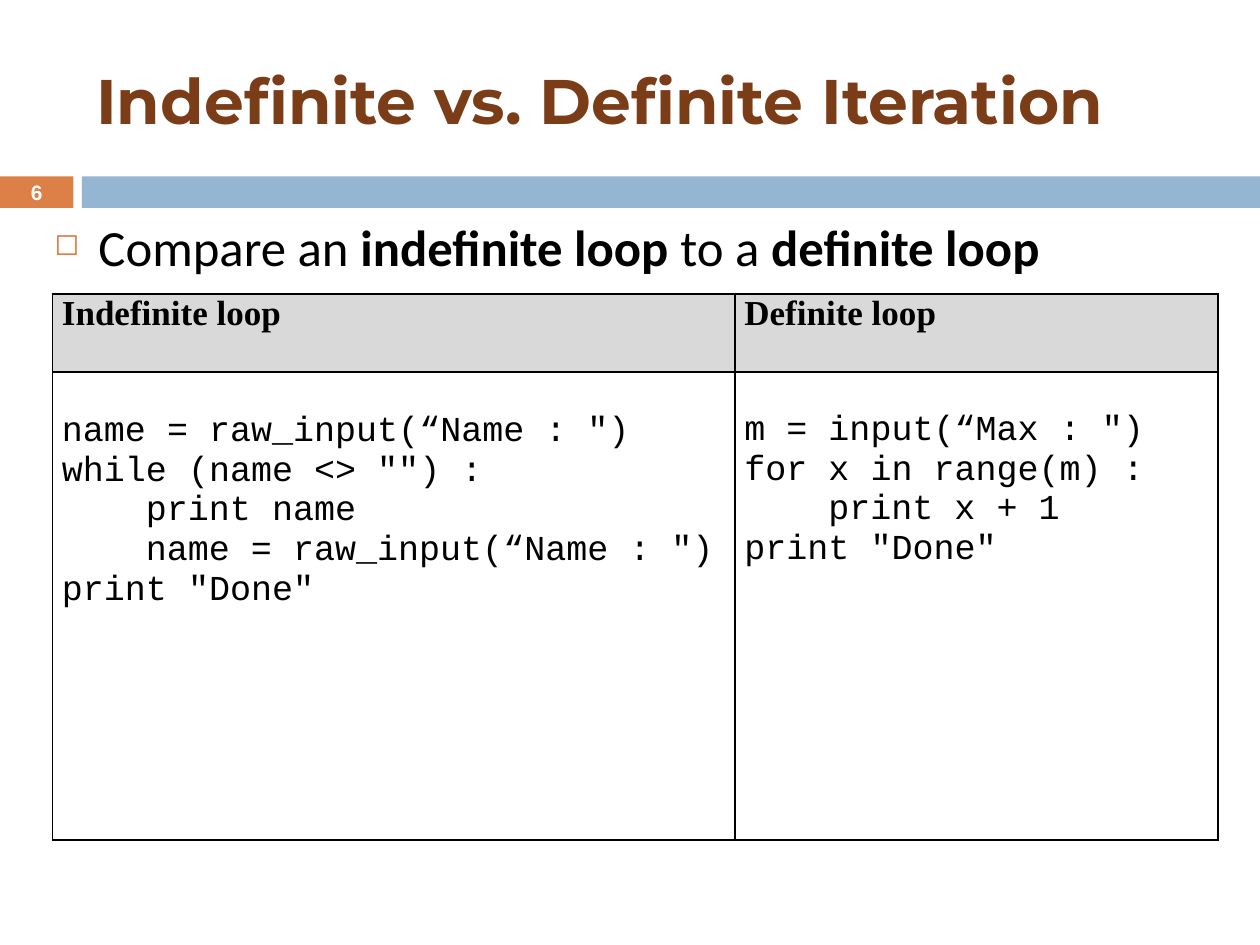
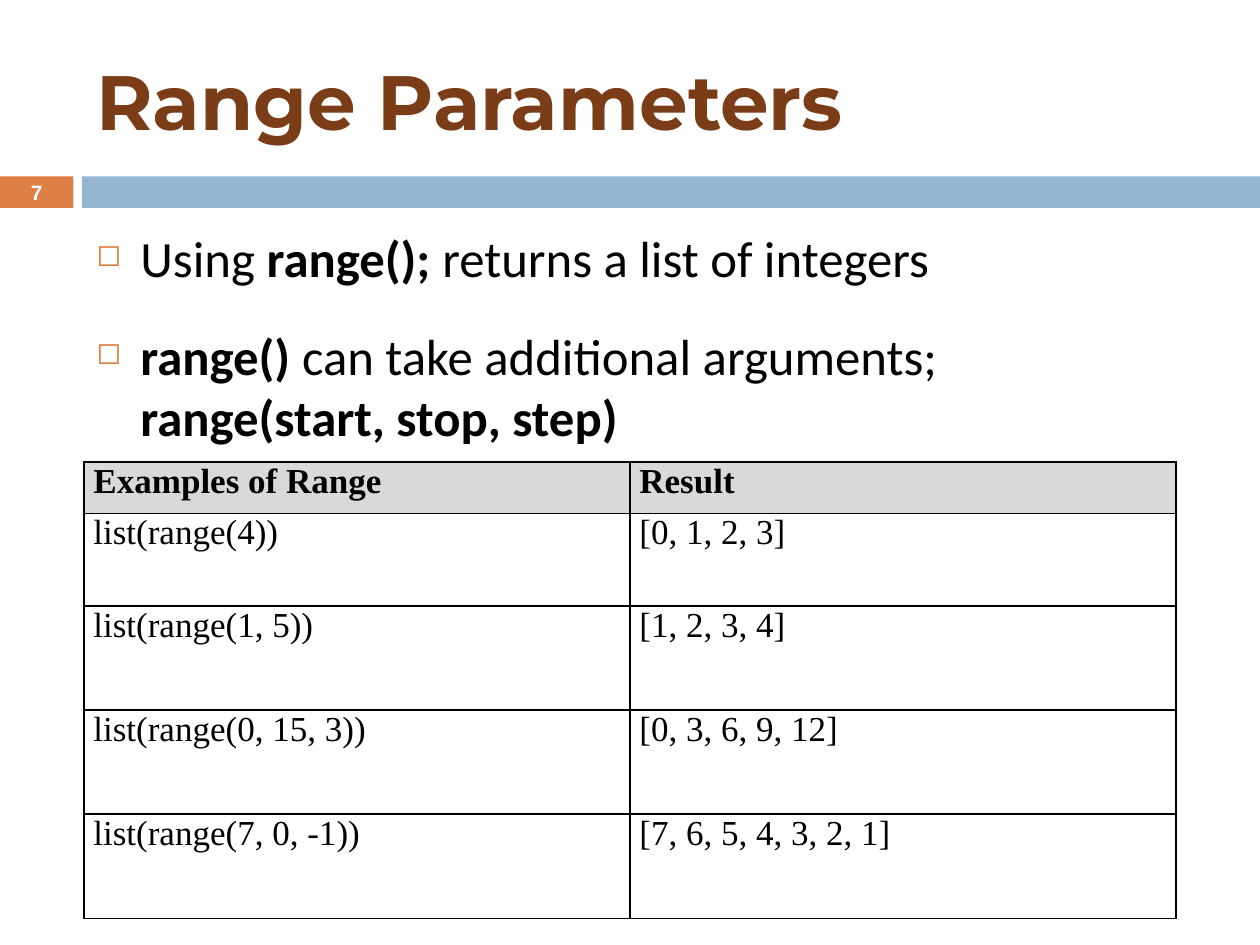
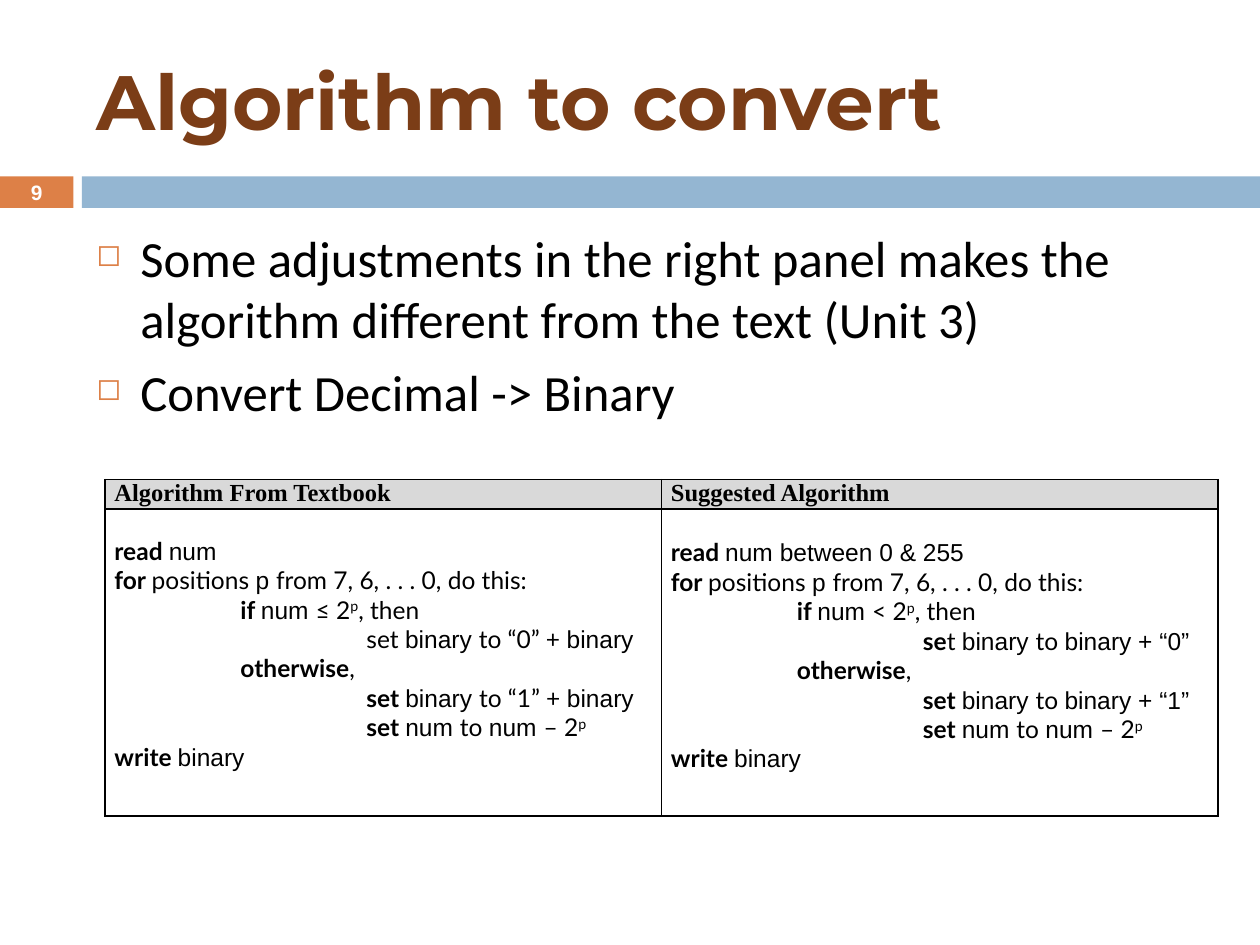
import pptx
import pptx.dml.color
import pptx.enum.shapes
import pptx.enum.text
import pptx.oxml
import pptx.oxml.ns
import pptx.util

Pt = pptx.util.Pt

COLORS = {
    "title": "7B3D17", "accent": "DD8047", "band": "94B6D2",
    "text": "000000", "header": "D9D9D9", "white": "FFFFFF",
}

# style: font, bold, superscript
STYLES = {
    "title": ("Montserrat", True, False),
    "number": ("Arial", True, False),
    "body": ("Calibri", False, False),
    "strong": ("Calibri", True, False),
    "header": ("Times New Roman", True, False),
    "cell": ("Times New Roman", False, False),
    "code": ("Courier New", False, False),
    "keyword": ("Lato", True, False),
    "word": ("Lato", False, False),
    "power": ("Lato", False, True),
    "name": ("Arial", False, False),
}

BAND_TOP, BAND_HEIGHT = 100.8, 18
CELL_MARGIN = 5.4
BULLET_INDENT = 25.2

# Lines of a cell: (indent level, runs); a run is (text, style)
FOR_LINE = (0, [("for ", "keyword"), ("positions ", "word"), ("p ", "name"),
                ("from 7, 6, . . . 0, do this:", "word")])
OTHERWISE_LINE = (1, [("otherwise", "keyword"), (",", "word")])
SUBTRACT_LINE = (2, [("set ", "keyword"), ("num ", "name"), ("to ", "word"),
                     ("num ", "name"), ("– 2", "word"), ("p", "power")])
WRITE_LINE = (0, [("write ", "keyword"), ("binary", "name")])


def if_line(comparison):
    return (1, [("if ", "keyword"), ("num ", "name"), (comparison + " 2", "word"),
                ("p", "power"), (", then", "word")])


def plain(text, style, level=0):
    return (level, [(text, style)])


TEXTBOOK_ALGORITHM = [
    (0, [("read ", "keyword"), ("num", "name")]),
    FOR_LINE,
    if_line("≤"),
    (2, [("set ", "word"), ("binary ", "name"), ("to “0” + ", "word"), ("binary", "name")]),
    OTHERWISE_LINE,
    (2, [("set ", "keyword"), ("binary ", "name"), ("to “1” + ", "word"), ("binary", "name")]),
    SUBTRACT_LINE,
    WRITE_LINE,
]
SUGGESTED_ALGORITHM = [
    (0, [("read ", "keyword"), ("num between 0 & 255", "name")]),
    FOR_LINE,
    if_line("<"),
    (2, [("se", "keyword"), ("t ", "word"), ("binary ", "name"), ("to ", "word"),
         ("binary + “0”", "name")]),
    OTHERWISE_LINE,
    (2, [("set ", "keyword"), ("binary ", "name"), ("to ", "word"), ("binary + “1”", "name")]),
    SUBTRACT_LINE,
    WRITE_LINE,
]
INDEFINITE_LOOP = [
    plain("name = raw_input(“Name : \")", "code"),
    plain("while (name <> \"\") :", "code"),
    plain("print name", "code", 1),
    plain("name = raw_input(“Name : \")", "code", 1),
    plain("print \"Done\"", "code"),
]
DEFINITE_LOOP = [
    plain("m = input(“Max : \")", "code"),
    plain("for x in range(m) :", "code"),
    plain("print x + 1", "code", 1),
    plain("print \"Done\"", "code"),
]
RANGE_EXAMPLES = [
    ("list(range(4))", "[0, 1, 2, 3]"),
    ("list(range(1, 5))", "[1, 2, 3, 4]"),
    ("list(range(0, 15, 3))", "[0, 3, 6, 9, 12]"),
    ("list(range(7, 0, -1))", "[7, 6, 5, 4, 3, 2, 1]"),
]

SLIDES = [
    {
        "number": "6", "title": "Indefinite vs. Definite Iteration", "title_size": 36,
        "body_box": (24, 120, 670, 83.5), "bullet_gap": 0,
        "bullets": [[("Compare an ", "body"), ("indefinite loop ", "strong"),
                     ("to a ", "body"), ("definite loop", "strong")]],
        "table": {
            "at": (30, 168), "columns": (390, 276), "rows": (44.6, 267.4),
            "size": 20, "indent": 48, "top_margins": (23, 22.5),
            "header": ("Indefinite loop", "Definite loop"),
            "body": [(INDEFINITE_LOOP, DEFINITE_LOOP)],
        },
    },
    {
        "number": "7", "title": "Range Parameters", "title_size": 44,
        "body_box": (48, 126, 642, 132), "bullet_gap": 14,
        "bullets": [
            [("Using ", "body"), ("range(); ", "strong"), ("returns a list of integers", "body")],
            [("range() ", "strong"), ("can take additional arguments; \n", "body"),
             ("range(start, stop, step)", "strong")],
        ],
        "table": {
            "at": (48, 264), "columns": (312, 312), "rows": (29.5, 52.8, 59.5, 59.5, 59.5),
            "size": 20, "indent": 0, "top_margins": (0, 0),
            "header": ("Examples of Range", "Result"),
            "body": [[[plain(text, "cell")] for text in row] for row in RANGE_EXAMPLES],
        },
    },
    {
        "number": "9", "title": "Algorithm to convert", "title_size": 44,
        "body_box": (48, 126, 642, 126), "bullet_gap": 0,
        "bullets": [
            [("Some adjustments in the right panel makes the algorithm "
              "different from the text (Unit 3)", "body")],
            [("Convert Decimal -> Binary", "body")],
        ],
        "table": {
            "at": (60, 274), "columns": (318, 318), "rows": (16.8, 175.5),
            "size": 14, "indent": 72, "top_margins": (15.5, 16.5),
            "header": ("Algorithm From Textbook", "Suggested Algorithm"),
            "body": [(TEXTBOOK_ALGORITHM, SUGGESTED_ALGORITHM)],
        },
    },
]


def rgb(name):
    return pptx.dml.color.RGBColor.from_string(COLORS[name])


def add_runs(paragraph, runs, size, color="text"):
    for text, style in runs:
        font_name, bold, superscript = STYLES[style]
        run = paragraph.add_run()
        run.text = text.rstrip("\n")
        run.font.name = font_name
        run.font.size = Pt(size)
        run.font.bold = bold
        run.font.color.rgb = rgb(color)
        if superscript:
            run._r.get_or_add_rPr().set("baseline", "30000")
        if text.endswith("\n"):
            paragraph.add_line_break()


def add_paragraph(frame, index):
    return frame.add_paragraph() if index else frame.paragraphs[0]


def add_text_frame(slide, box, middle=False):
    frame = slide.shapes.add_textbox(*map(Pt, box)).text_frame
    frame.word_wrap = True
    if middle:
        frame.vertical_anchor = pptx.enum.text.MSO_ANCHOR.MIDDLE
    return frame


def add_band(slide, left, width, color):
    shape = slide.shapes.add_shape(
        pptx.enum.shapes.MSO_SHAPE.RECTANGLE,
        Pt(left), Pt(BAND_TOP), Pt(width), Pt(BAND_HEIGHT))
    shape.shadow.inherit = False
    shape.fill.solid()
    shape.fill.fore_color.rgb = rgb(color)
    shape.line.fill.background()


def add_frame(slide, content):
    """Draw the bands, the title and the slide number."""
    add_band(slide, 0, 42, "accent")
    add_band(slide, 46.8, 673.2, "band")
    title = add_text_frame(slide, (48, 18, 642, 78), middle=True)
    add_runs(title.paragraphs[0], [(content["title"], "title")], content["title_size"], "title")
    number = add_text_frame(slide, (0, 100, 42, 19.5), middle=True)
    number.paragraphs[0].alignment = pptx.enum.text.PP_ALIGN.CENTER
    add_runs(number.paragraphs[0], [(content["number"], "number")], 11.9, "white")


def append_xml(parent, xml):
    namespace = pptx.oxml.ns.nsdecls("a")
    parent.append(pptx.oxml.parse_xml(xml.replace(">", f" {namespace}>", 1)
                                      if "/>" not in xml.split(">")[0] + ">"
                                      else xml.replace("/>", f" {namespace}/>", 1)))


def add_bullets(slide, content):
    frame = add_text_frame(slide, content["body_box"])
    last = len(content["bullets"]) - 1
    for index, runs in enumerate(content["bullets"]):
        paragraph = add_paragraph(frame, index)
        paragraph.space_before = Pt(7)
        if index < last:
            paragraph.space_after = Pt(content["bullet_gap"])
        properties = paragraph._p.get_or_add_pPr()
        properties.set("marL", str(Pt(BULLET_INDENT)))
        properties.set("indent", str(-Pt(BULLET_INDENT)))
        append_xml(properties, f'<a:buClr><a:srgbClr val="{COLORS["accent"]}"/></a:buClr>')
        append_xml(properties, '<a:buSzPct val="60000"/>')
        append_xml(properties, '<a:buChar char="◻"/>')
        add_runs(paragraph, runs, 29)


def fill_cell(cell, lines, size, indent, top_margin, header):
    cell.margin_left = cell.margin_right = Pt(CELL_MARGIN)
    cell.margin_top, cell.margin_bottom = Pt(top_margin), Pt(0)
    for index, (level, runs) in enumerate(lines):
        paragraph = add_paragraph(cell.text_frame, index)
        if level:
            paragraph._p.get_or_add_pPr().set("marL", str(Pt(level * indent)))
        add_runs(paragraph, runs, size)
    properties = cell._tc.get_or_add_tcPr()
    for side in ("lnL", "lnR", "lnT", "lnB"):
        append_xml(properties, f'<a:{side} w="{Pt(1)}"><a:solidFill>'
                               f'<a:srgbClr val="{COLORS["text"]}"/></a:solidFill></a:{side}>')
    if header:
        cell.fill.solid()
        cell.fill.fore_color.rgb = rgb("header")
    else:
        cell.fill.background()


def add_table(slide, content):
    columns, rows = content["columns"], content["rows"]
    table = slide.shapes.add_table(
        len(rows), len(columns), *map(Pt, content["at"]), Pt(sum(columns)), Pt(sum(rows))).table
    table.first_row = table.horz_banding = False
    for column, width in zip(table.columns, columns):
        column.width = Pt(width)
    for row, height in zip(table.rows, rows):
        row.height = Pt(height)
    header = [[plain(text, "header")] for text in content["header"]]
    for row_index, row in enumerate([header, *content["body"]]):
        for column_index, lines in enumerate(row):
            is_header = row_index == 0
            top_margin = 0 if is_header else content["top_margins"][column_index]
            fill_cell(table.cell(row_index, column_index), lines, content["size"],
                      content["indent"], top_margin, is_header)


def main():
    presentation = pptx.Presentation()
    presentation.slide_width, presentation.slide_height = Pt(720), Pt(540)
    for content in SLIDES:
        slide = presentation.slides.add_slide(presentation.slide_layouts[6])
        add_frame(slide, content)
        add_bullets(slide, content)
        add_table(slide, content["table"])
    presentation.save("out.pptx")


if __name__ == "__main__":
    main()
